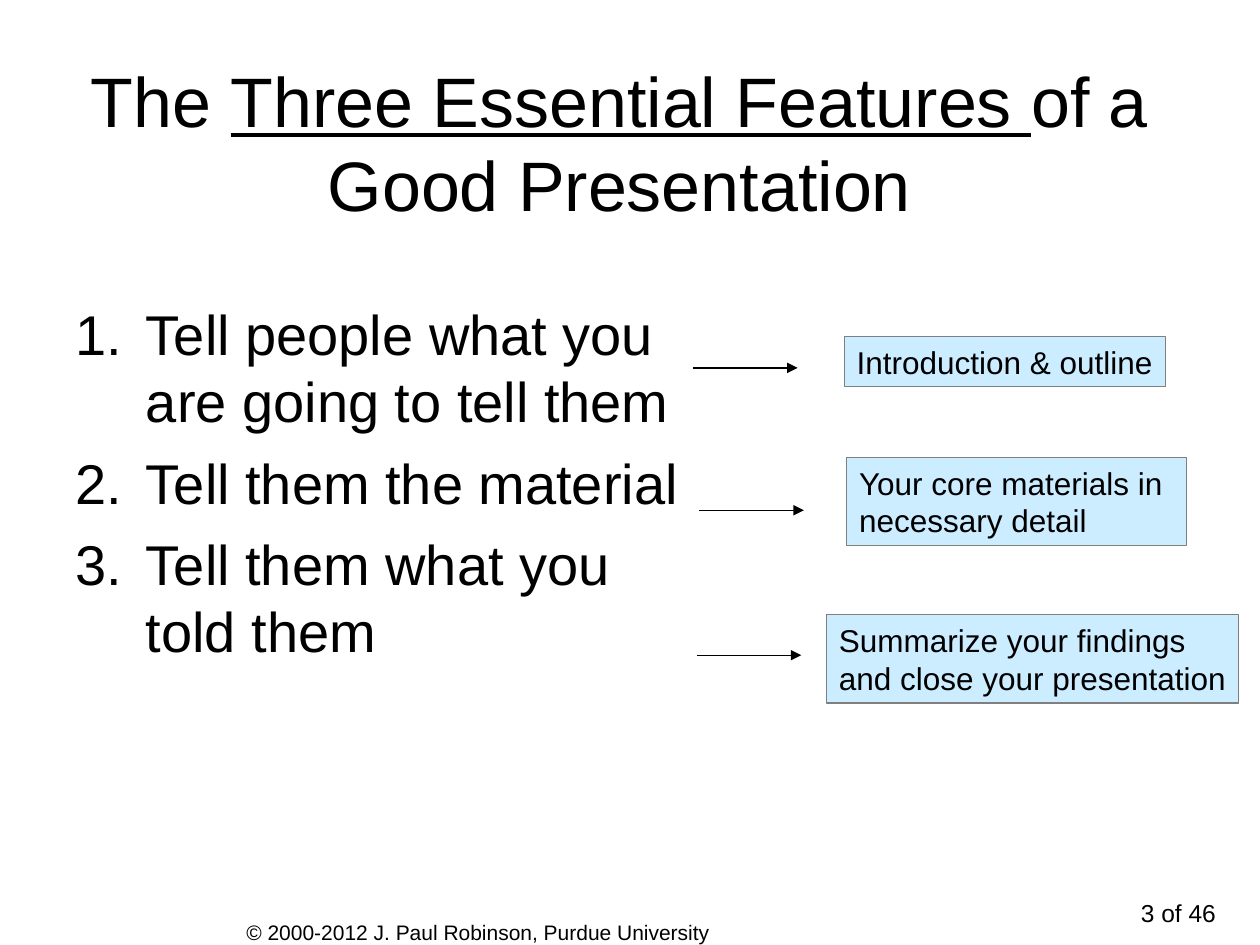
from dataclasses import dataclass

from lxml import etree
from pptx import Presentation
from pptx.dml.color import RGBColor
from pptx.enum.shapes import MSO_CONNECTOR, MSO_SHAPE
from pptx.enum.text import MSO_ANCHOR, MSO_AUTO_SIZE, PP_ALIGN
from pptx.oxml.ns import qn
from pptx.util import Inches, Pt

LEFT, CENTER, RIGHT = PP_ALIGN.LEFT, PP_ALIGN.CENTER, PP_ALIGN.RIGHT
TOP, MIDDLE = MSO_ANCHOR.TOP, MSO_ANCHOR.MIDDLE
FIXED, GROW = MSO_AUTO_SIZE.NONE, MSO_AUTO_SIZE.SHAPE_TO_FIT_TEXT
RECTANGLE, STRAIGHT = MSO_SHAPE.RECTANGLE, MSO_CONNECTOR.STRAIGHT
TITLE_ONLY = 5


@dataclass(frozen=True)
class Theme:
    font: str = "Arial"
    ink: RGBColor = RGBColor(0x00, 0x00, 0x00)
    paper: RGBColor = RGBColor(0xFF, 0xFF, 0xFF)
    note_fill: RGBColor = RGBColor(0xCC, 0xEC, 0xFF)
    note_line: RGBColor = RGBColor(0x7F, 0x7F, 0x7F)
    title: int = 40
    body: int = 32
    note: int = 18
    number: int = 14
    footer: int = 12
    line: float = 0.75


THEME = Theme()
WIDTH, HEIGHT = 10, 7.5
INDENT = 0.56
ARROW_LENGTH = 0.83

TITLE = [("The ", False), ("Three Essential Features ", True),
         ("of a Good Presentation", False)]
# Each step: text, arrow start (x, y), note place (x, y, width, height), note lines
STEPS = [
    ("Tell people what you are going to tell them", (5.5, 2.92),
     (6.7, 2.67, 2.55, 0.4), ["Introduction & outline"]),
    ("Tell them the material", (5.55, 4.05),
     (6.72, 3.63, 2.7, 0.7), ["Your core materials in", "necessary detail"]),
    ("Tell them what you told them", (5.53, 5.2),
     (6.56, 4.88, 3.27, 0.7),
     ["Summarize your findings", "and close your presentation"]),
]


def inches(*lengths):
    return [Inches(length) for length in lengths]


def number_paragraph(para):
    """Give a paragraph a hanging automatic number."""
    properties = para._p.get_or_add_pPr()
    properties.set("marL", str(Inches(INDENT)))
    properties.set("indent", str(-Inches(INDENT)))
    etree.SubElement(properties, qn("a:buFont"), typeface=THEME.font)
    etree.SubElement(properties, qn("a:buAutoNum"), type="arabicPeriod")


def write_text(box, paragraphs, size, align=LEFT, anchor=TOP, wrap=True,
               fit=FIXED, gap=0, numbered=False):
    """Fill a box; a paragraph is a string or a list of (text, underlined)."""
    frame = box.text_frame
    frame.word_wrap, frame.auto_size = wrap, fit
    frame.vertical_anchor = anchor
    for index, content in enumerate(paragraphs):
        para = frame.add_paragraph() if index else frame.paragraphs[0]
        para.alignment = align
        para.space_before = Pt(gap if index else 0)
        if numbered:
            number_paragraph(para)
        spans = [(content, False)] if isinstance(content, str) else content
        for text, underlined in spans:
            span = para.add_run()
            span.text = text
            font = span.font
            font.name, font.size, font.underline = THEME.font, Pt(size), underlined
            font.color.rgb = THEME.ink


def add_title(page):
    title = page.shapes.title
    title.left, title.top, title.width, title.height = inches(0.33, 0.5, 9.17, 1.25)
    write_text(title, [TITLE], THEME.title, align=CENTER, anchor=MIDDLE)


def add_text(page, place, paragraphs, size, **text_format):
    box = page.shapes.add_textbox(*inches(*place))
    write_text(box, paragraphs, size, **text_format)


def add_note(page, place, lines):
    note = page.shapes.add_shape(RECTANGLE, *inches(*place))
    note.shadow.inherit = False
    note.fill.solid()
    note.fill.fore_color.rgb = THEME.note_fill
    note.line.color.rgb = THEME.note_line
    note.line.width = Pt(THEME.line)
    write_text(note, lines, THEME.note, wrap=False, fit=GROW)


def add_arrow(page, x, y):
    arrow = page.shapes.add_connector(STRAIGHT, *inches(x, y, x + ARROW_LENGTH, y))
    arrow.line.color.rgb = THEME.ink
    arrow.line.width = Pt(THEME.line)
    etree.SubElement(arrow.line._get_or_add_ln(), qn("a:tailEnd"), type="triangle")
    etree.SubElement(arrow._element.spPr, qn("a:effectLst"))


def main():
    deck = Presentation()
    deck.slide_width, deck.slide_height = inches(WIDTH, HEIGHT)
    page = deck.slides.add_slide(deck.slide_layouts[TITLE_ONLY])
    page.background.fill.solid()
    page.background.fill.fore_color.rgb = THEME.paper

    add_title(page)
    add_text(page, (0.5, 2.33, 5, 4.37), [step[0] for step in STEPS],
             THEME.body, gap=8, numbered=True)
    for _, arrow_start, note_place, lines in STEPS:
        add_note(page, note_place, lines)
        add_arrow(page, *arrow_start)
    add_text(page, (1.67, 7.25, 4.25, 0.18),
             ["© 2000-2012 J. Paul Robinson, Purdue University"],
             THEME.footer, align=CENTER)
    add_text(page, (7.42, 7.08, 2.33, 0.33), ["3 of 46"],
             THEME.number, align=RIGHT)
    deck.save("out.pptx")


if __name__ == "__main__":
    main()
